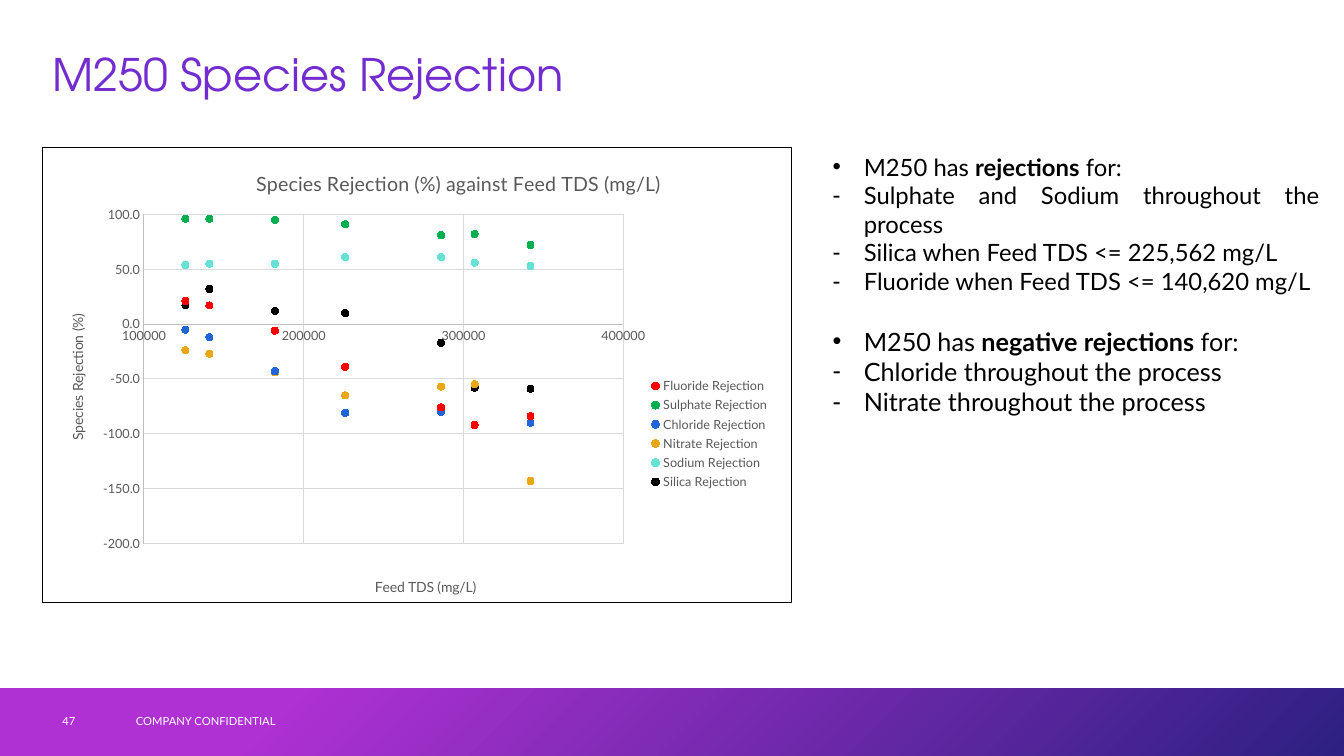
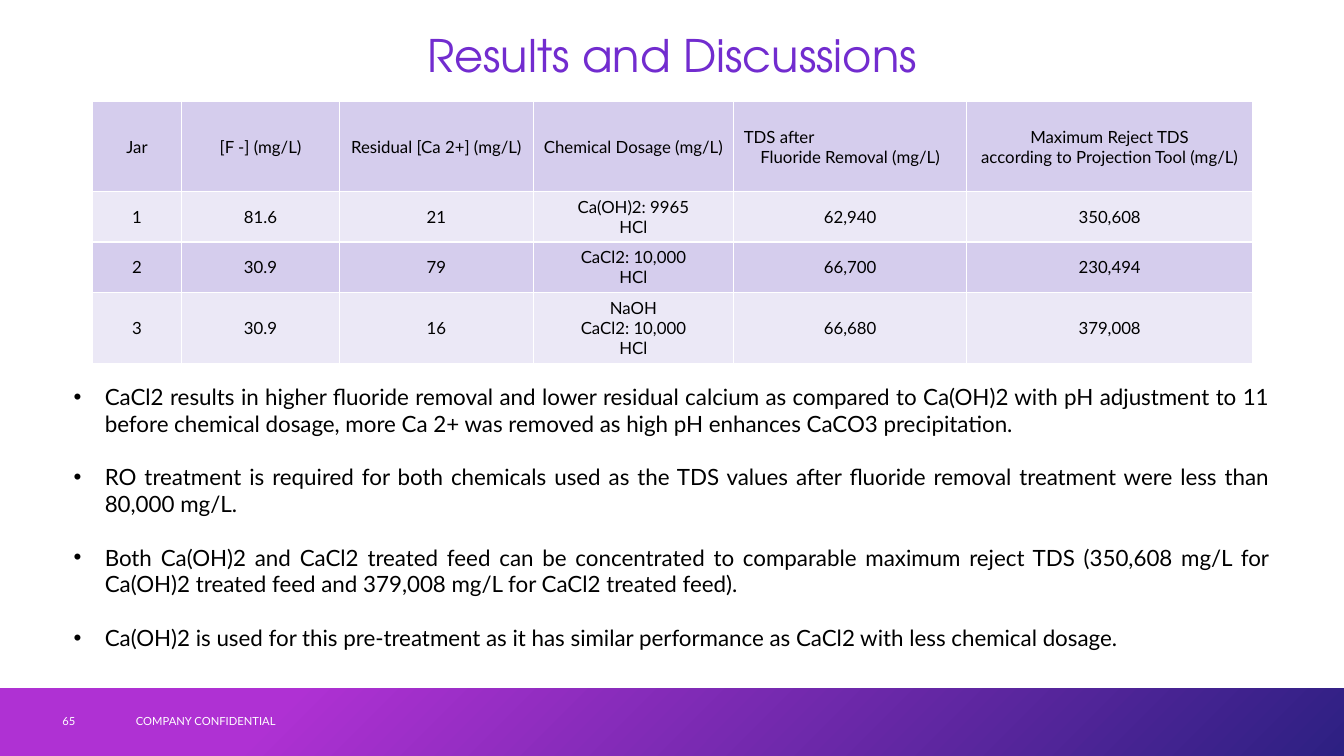
"""Build two slides on species rejection and fluoride removal results."""
from pptx import Presentation
from pptx.chart.data import XyChartData
from pptx.dml.color import RGBColor
from pptx.enum.chart import XL_CHART_TYPE, XL_LEGEND_POSITION, XL_MARKER_STYLE, XL_TICK_MARK
from pptx.enum.shapes import MSO_SHAPE
from pptx.enum.text import MSO_ANCHOR, MSO_AUTO_SIZE, PP_ALIGN
from pptx.oxml import parse_xml
from pptx.oxml.ns import nsdecls, qn
from pptx.util import Emu, Pt

PX = 9144
COLORS = {
    "title": "722CCF", "band_start": "AF31D3", "band_end": "2D2082",
    "white": "FFFFFF", "black": "000000", "chart_text": "595959",
    "axis": "BFBFBF", "grid": "D9D9D9", "row_dark": "D5CDED", "row_light": "EBE8F6",
    "fluoride": "FF0000", "sulphate": "00B050", "chloride": "2265D9",
    "nitrate": "E9A713", "sodium": "67E0D6", "silica": "000000",
}
BODY_FONT = "Lato"
TITLE_FONT = "TeX Gyre Adventor"


def rgb(name):
    return RGBColor.from_string(COLORS[name])


def set_font(font, size, color, name=BODY_FONT, bold=False):
    font.size = Pt(size)
    font.name = name
    font.bold = bold
    font.color.rgb = rgb(color)


deck = Presentation()
deck.slide_width = Emu(12192000)
deck.slide_height = Emu(750 * PX)
content_layout = deck.slide_layouts[1]

pages = []
for title, number, alignment, left, top in [
    ("M250 Species Rejection", "47", PP_ALIGN.LEFT, 42, 43),
    ("Results and Discussions", "65", PP_ALIGN.CENTER, 92, 24),
]:
    page = deck.slides.add_slide(content_layout)
    pages.append(page)
    heading = page.shapes.title
    heading.left, heading.top, heading.width, heading.height = (
        Emu(length * PX) for length in (left, top, 1150, 67))
    heading.text_frame.text = title
    heading.text_frame.auto_size = MSO_AUTO_SIZE.NONE
    heading.text_frame.vertical_anchor = MSO_ANCHOR.MIDDLE
    para = heading.text_frame.paragraphs[0]
    para.alignment = alignment
    para.line_spacing = 0.9
    set_font(para.runs[0].font, 32, "title", TITLE_FONT)

    footers = []
    for text, box_left, box_width in [(number, 52, 72), ("COMPANY CONFIDENTIAL", 125, 450)]:
        if text != number and len(pages) > 1:
            continue
        box = page.shapes.add_textbox(*(Emu(length * PX) for length in (box_left, 695, box_width, 40)))
        box.text_frame.word_wrap = True
        box.text_frame.vertical_anchor = MSO_ANCHOR.MIDDLE
        box.text_frame.text = text
        set_font(box.text_frame.paragraphs[0].runs[0].font, 8, "white")
        footers.append(box)

    if len(pages) == 1:
        band = page.shapes.add_shape(MSO_SHAPE.RECTANGLE, 0, Emu(683 * PX), deck.slide_width, Emu(67 * PX))
        band.shadow.inherit = False
        band.line.fill.background()
        band.fill.gradient()
        band.fill.gradient_angle = 315
        for stop, position, color in zip(band.fill.gradient_stops, (0.21, 1), ("band_start", "band_end")):
            stop.position = position
            stop.color.rgb = rgb(color)
        for shape_id, shape in enumerate((band, footers[1]), 101):
            shape.element.xpath(".//p:cNvPr")[0].set("id", str(shape_id))
            deck.slide_master.shapes.element.append(shape.element)

rejection_page, results_page = pages

feed_tds = [126000, 141000, 182000, 226000, 286000, 307000, 342000]
rejections = {
    "Fluoride": [21, 17, -6, -39, -76, -92, -84],
    "Sulphate": [96, 96, 95, 91, 81, 82, 72],
    "Chloride": [-5, -12, -43, -81, -80, -92, -90],
    "Nitrate": [-24, -27, -44, -65, -57, -55, -143],
    "Sodium": [54, 55, 55, 61, 61, 56, 53],
    "Silica": [17, 32, 12, 10, -17, -58, -59],
}
chart_data = XyChartData()
for species, values in rejections.items():
    series = chart_data.add_series(f"{species} Rejection")
    for tds, value in zip(feed_tds, values):
        series.add_data_point(tds, value)
chart = rejection_page.shapes.add_chart(
    XL_CHART_TYPE.XY_SCATTER, *(Emu(length * PX) for length in (42, 146, 744, 452)), chart_data).chart
set_font(chart.font, 10, "black")
chart.has_title = True
chart.chart_title.text_frame.text = "Species Rejection (%) against Feed TDS (mg/L)"
set_font(chart.chart_title.text_frame.paragraphs[0].runs[0].font, 14, "chart_text")
chart.has_legend = True
chart.legend.position = XL_LEGEND_POSITION.RIGHT
chart.legend.include_in_layout = False
set_font(chart.legend.font, 9, "chart_text")
chart.plots[0].vary_by_categories = False
for series, species in zip(chart.plots[0].series, rejections):
    series.format.line.fill.background()
    series.marker.style = XL_MARKER_STYLE.CIRCLE
    series.marker.size = 5
    series.marker.format.fill.solid()
    series.marker.format.fill.fore_color.rgb = rgb(species.lower())
    series.marker.format.line.color.rgb = rgb(species.lower())

for axis, title, low, high, step, number_format in [
    (chart.category_axis, "Feed TDS (mg/L)", 100000, 400000, 100000, "0"),
    (chart.value_axis, "Species Rejection (%)", -200, 100, 50, "0.0"),
]:
    axis.minimum_scale, axis.maximum_scale, axis.major_unit = low, high, step
    axis.major_tick_mark = axis.minor_tick_mark = XL_TICK_MARK.NONE
    axis.tick_labels.number_format = number_format
    axis.tick_labels.number_format_is_linked = False
    set_font(axis.tick_labels.font, 9, "chart_text")
    axis.has_major_gridlines = True
    for line, color in ((axis.format.line, "axis"), (axis.major_gridlines.format.line, "grid")):
        line.width = Pt(0.75)
        line.color.rgb = rgb(color)
    axis.axis_title.text_frame.text = title
    set_font(axis.axis_title.text_frame.paragraphs[0].runs[0].font, 10, "chart_text")

for query, index, target, place in [
    ("c:chart/c:title", 1, "", {"x": 0.28, "y": 0.04}),
    ("c:chart/c:plotArea", 0, '<c:layoutTarget val="inner"/>', {"x": 0.135, "y": 0.147, "w": 0.64, "h": 0.724}),
    ("c:chart/c:plotArea/c:valAx[1]/c:title", 1, "", {"x": 0.44, "y": 0.94}),
    ("c:chart/c:plotArea/c:valAx[2]/c:title", 1, "", {"x": 0.03, "y": 0.36}),
    ("c:chart/c:legend", 1, "", {"x": 0.8, "y": 0.5, "w": 0.18, "h": 0.26}),
]:
    part = chart.element.xpath(query)[0]
    for old_layout in part.findall(qn("c:layout")):
        part.remove(old_layout)
    modes = "".join(f'<c:{key}Mode val="edge"/>' for key in "xy")
    sizes = "".join(f'<c:{key} val="{value}"/>' for key, value in place.items())
    part.insert(index, parse_xml(
        f'<c:layout {nsdecls("c")}><c:manualLayout>{target}{modes}{sizes}</c:manualLayout></c:layout>'))
chart.element.find(qn("c:chart")).addnext(parse_xml(
    f'<c:spPr {nsdecls("c", "a")}><a:noFill/><a:ln w="9525"><a:solidFill>'
    f'<a:srgbClr val="{COLORS["black"]}"/></a:solidFill></a:ln></c:spPr>'))

header = ["Jar", "[F -] (mg/L)", "Residual [Ca 2+] (mg/L)", "Chemical Dosage (mg/L)",
          "TDS after\nFluoride Removal (mg/L)",
          "Maximum Reject TDS\naccording to Projection Tool (mg/L)"]
rows = [
    header,
    ["1", "81.6", "21", "Ca(OH)2: 9965\nHCl", "62,940", "350,608"],
    ["2", "30.9", "79", "CaCl2: 10,000\nHCl", "66,700", "230,494"],
    ["3", "30.9", "16", "NaOH\nCaCl2: 10,000\nHCl", "66,680", "379,008"],
]
table = results_page.shapes.add_table(
    len(rows), len(header), *(Emu(length * PX) for length in (92, 101, 1150, 260))).table
table.first_row = table.horz_banding = False
for column, width in zip(table.columns, (88, 157, 192, 199, 231, 284)):
    column.width = Emu(width * PX)
for row, height in zip(table.rows, (89, 50, 50, 71)):
    row.height = Emu(height * PX)
for row_index, texts in enumerate(rows):
    for column_index, text in enumerate(texts):
        cell = table.cell(row_index, column_index)
        cell.vertical_anchor = MSO_ANCHOR.MIDDLE
        cell.fill.solid()
        cell.fill.fore_color.rgb = rgb("row_light" if row_index % 2 else "row_dark")
        cell.text_frame.text = text
        for para in cell.text_frame.paragraphs:
            para.alignment = PP_ALIGN.LEFT if para.text == "TDS after" else PP_ALIGN.CENTER
            set_font(para.runs[0].font, 12, "black")
        properties = cell._tc.get_or_add_tcPr()
        for position, side in enumerate("LRTB"):
            properties.insert(position, parse_xml(
                f'<a:ln{side} {nsdecls("a")} w="12700"><a:solidFill>'
                f'<a:srgbClr val="{COLORS["white"]}"/></a:solidFill></a:ln{side}>'))

rejection_points = [
    ("•", 17, 0, ["M250 has ", "rejections", " for:"]),
    ("-", 17, 0, ["Sulphate and Sodium throughout the process"]),
    ("-", 17, 0, ["Silica when Feed TDS <= 225,562 mg/L"]),
    ("-", 17, 0, ["Fluoride when Feed TDS <= 140,620 mg/L"]),
    ("•", 18, 22, ["M250 has ", "negative rejections", " for:"]),
    ("-", 18, 0, ["Chloride throughout the process"]),
    ("-", 18, 0, ["Nitrate throughout the process"]),
]
findings = [
    "CaCl2 results in higher fluoride removal and lower residual calcium as compared to Ca(OH)2 with "
    "pH adjustment to 11 before chemical dosage, more Ca 2+ was removed as high pH enhances CaCO3 precipitation.",
    "RO treatment is required for both chemicals used as the TDS values after fluoride removal treatment "
    "were less than 80,000 mg/L.",
    "Both Ca(OH)2 and CaCl2 treated feed can be concentrated to comparable maximum reject TDS "
    "(350,608 mg/L for Ca(OH)2 treated feed and 379,008 mg/L for CaCl2 treated feed).",
    "Ca(OH)2 is used for this pre-treatment as it has similar performance as CaCl2 with less chemical dosage.",
]
finding_points = [("•", 16, 19 if index else 0, [text]) for index, text in enumerate(findings)]
for page, area, points in [
    (rejection_page, (816, 146, 503, 337), rejection_points),
    (results_page, (63, 375, 1207, 279), finding_points),
]:
    body = page.placeholders[1]
    body.left, body.top, body.width, body.height = (Emu(length * PX) for length in area)
    frame = body.text_frame
    frame.word_wrap = True
    frame.auto_size = MSO_AUTO_SIZE.NONE
    frame.vertical_anchor = MSO_ANCHOR.TOP
    frame.text = "\n".join("".join(spans) for _, _, _, spans in points)
    for para, (bullet, size, gap, spans) in zip(frame.paragraphs, points):
        para.text = spans[0]
        para.alignment = PP_ALIGN.JUSTIFY
        para.space_before = Pt(gap)
        properties = para._p.get_or_add_pPr()
        properties.set("marL", str(31 * PX))
        properties.set("indent", str(-31 * PX))
        properties.append(parse_xml(f'<a:buFont {nsdecls("a")} typeface="Arial"/>'))
        properties.append(parse_xml(f'<a:buChar {nsdecls("a")} char="{bullet}"/>'))
        for text in spans[1:]:
            para.add_run().text = text
        for index, span in enumerate(para.runs):
            set_font(span.font, size, "black", bold=index == 1)

deck.save("out.pptx")
